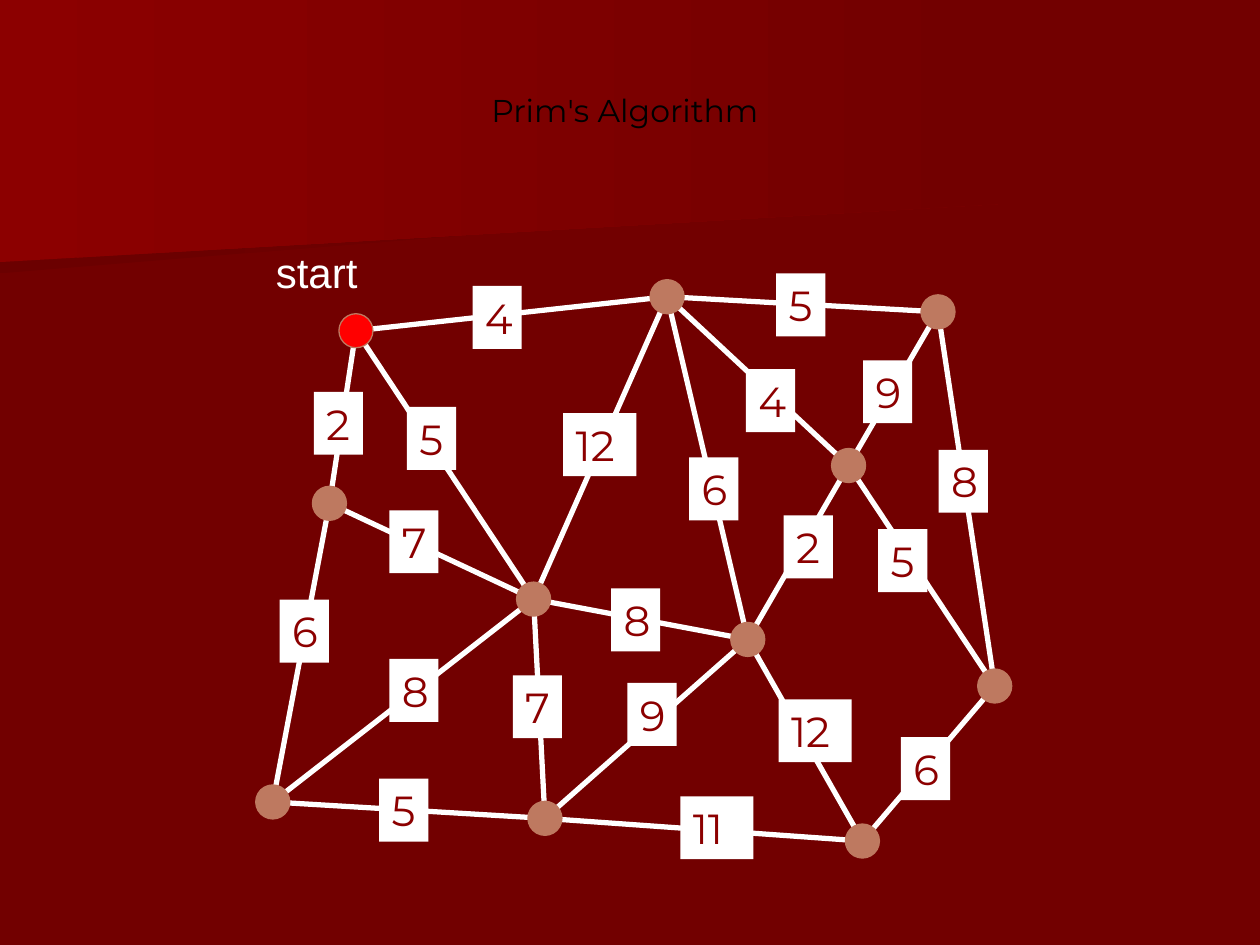
from lxml import etree
from pptx import Presentation
from pptx.dml.color import RGBColor
from pptx.enum import shapes, text
from pptx.oxml import ns
from pptx.util import Inches, Pt

WHITE, RED, TAN = "FFFFFF", "8C0000", "BE7960"
DOT = 0.27
NODES = {
    "A": (0.69, 0.59), "B": (0.48, 1.96), "C": (0.03, 4.33), "D": (2.1, 2.72),
    "E": (2.19, 4.46), "F": (3.16, 0.32), "G": (5.31, 0.44), "H": (4.6, 1.66),
    "I": (3.8, 3.04), "J": (5.76, 3.41), "K": (4.71, 4.64),
}
EDGES = [
    ("AF", 4, 1.75, 0.37), ("AB", 2, 0.49, 1.21), ("AD", 5, 1.23, 1.33),
    ("BD", 7, 1.09, 2.15), ("BC", 6, 0.22, 2.86), ("CD", 8, 1.09, 3.33),
    ("CE", 5, 1.01, 4.28), ("DE", 7, 2.07, 3.46), ("DF", 12, 2.47, 1.38),
    ("DI", 8, 2.85, 2.77), ("EI", 9, 2.98, 3.52), ("EK", 11, 3.4, 4.42),
    ("FG", 5, 4.16, 0.27), ("FH", 4, 3.92, 1.03), ("FI", 6, 3.47, 1.73),
    ("GH", 9, 4.85, 0.96), ("GJ", 8, 5.45, 1.67), ("HI", 2, 4.22, 2.19),
    ("HJ", 5, 4.97, 2.3), ("IK", 12, 4.18, 3.65), ("JK", 6, 5.15, 3.95),
]


def color(code):
    """Turn a hex string into a colour."""
    return RGBColor.from_string(code)


def write(slide, words, box, font="Montserrat", size=24, ink=RED, fill=None, align="LEFT"):
    """Add a text box with one line of formatted text."""
    shape = slide.shapes.add_textbox(*map(Inches, box))
    if fill:
        shape.fill.solid()
        shape.fill.fore_color.rgb = color(fill)
    frame = shape.text_frame
    frame.word_wrap = False
    para = frame.paragraphs[0]
    para.alignment = text.PP_ALIGN[align]
    run = para.add_run()
    run.text = words
    run.font.name, run.font.size = font, Pt(size)
    run.font.color.rgb = color(ink)


def band(slide, box, cut, start):
    """Draw a slanted band whose right edge ends at the height cut."""
    x, y, wide, high = box
    points = [(x, y), (x + wide, y), (x + wide, y + cut), (x, y + high)]
    points = [(Inches(a), Inches(b)) for a, b in points]
    pen = slide.shapes.build_freeform(*points[0])
    pen.add_line_segments(points[1:])
    shape = pen.convert_to_shape()
    shape.shadow.inherit = False
    shape.line.fill.background()
    shape.fill.gradient()
    shape.fill.gradient_angle = 0
    for stop, code in zip(shape.fill.gradient_stops, (start, "720000")):
        stop.color.rgb = color(code)


def edge(slide, start, end):
    """Draw a white line between two points."""
    line = slide.shapes.add_connector(
        shapes.MSO_CONNECTOR.STRAIGHT, *map(Inches, start + end))
    line.line.color.rgb = color(WHITE)
    line.line.width = Pt(3)
    etree.SubElement(line._element.spPr, ns.qn("a:effectLst"))


def node(slide, box, fill):
    """Draw a round node."""
    dot = slide.shapes.add_shape(shapes.MSO_SHAPE.OVAL, *map(Inches, box))
    dot.shadow.inherit = False
    dot.fill.solid()
    dot.fill.fore_color.rgb = color(fill)
    dot.line.color.rgb = color(TAN)
    dot.line.width = Pt(0.75)


def graph(slide, box):
    """Draw the weighted graph from the top left of its box."""
    left, top = box[:2]
    spots = {name: (left + x, top + y) for name, (x, y) in NODES.items()}
    mids = {name: (x + DOT / 2, y + DOT / 2) for name, (x, y) in spots.items()}
    for (start, end), *_ in EDGES:
        edge(slide, mids[start], mids[end])
    for name, spot in spots.items():
        node(slide, (*spot, DOT, DOT), "FF0000" if name == "A" else TAN)
    for _, cost, x, y in EDGES:
        wide = 0.39 if cost < 10 else 0.58
        write(slide, str(cost), (left + x, top + y, wide, 0.5), fill=WHITE)
    write(slide, "start", (left + 0.09, top + 0.01, 0.85, 0.5), font="Arial", ink=WHITE)


def main():
    """Build and save the slide."""
    deck = Presentation()
    deck.slide_width, deck.slide_height = Inches(10), Inches(7.5)
    slide = deck.slides.add_slide(deck.slide_layouts[6])
    slide.background.fill.solid()
    slide.background.fill.fore_color.rgb = color("720000")
    band(slide, (0, 1.01, 7.79, 1.16), 0.52, "6B0000")
    band(slide, (0, 0, 7.92, 2.08), 1.62, RED)
    graph(slide, (2, 1.9, 6.05, 4.95))
    write(slide, "Prim's Algorithm", (3.42, 0.67, 3.08, 0.58),
          size=18, ink="000000", align="CENTER")
    deck.save("out.pptx")


if __name__ == "__main__":
    main()
